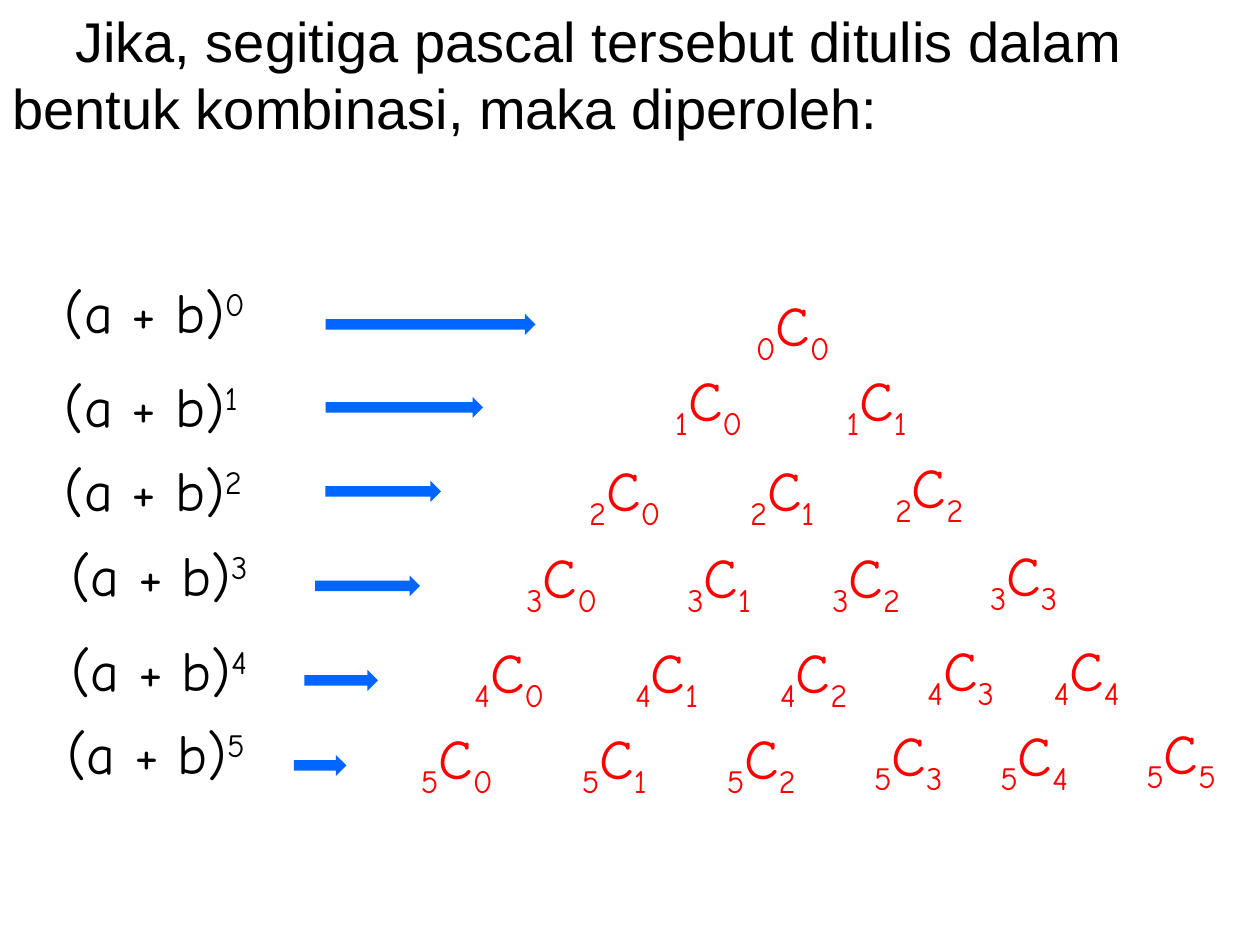
from pptx import Presentation
from pptx.dml.color import RGBColor
from pptx.enum.shapes import MSO_SHAPE
from pptx.enum.text import MSO_AUTO_SIZE, PP_ALIGN
from pptx.util import Inches, Pt

BLACK = RGBColor(0x00, 0x00, 0x00)
RED = RGBColor(0xFF, 0x00, 0x00)
BLUE = RGBColor(0x00, 0x66, 0xFF)

COLS, ROWS = 120, 90
SUB, SUP = -25000, 30000

# Per power: left, top, width and wrapping of its label
POWERS = [
    (5, 25.8, 21, True),
    (5, 34.8, 21, True),
    (5, 42.8, 21, True),
    (5.6, 50.9, 19.2, False),
    (5.6, 59.9, 19.1, False),
    (5.2, 67.8, 21, True),
]

# Per power: left, top and length of its arrow
ARROWS = [
    (31, 29.9, 20),
    (31, 37.8, 15),
    (31, 45.8, 11),
    (30, 54.8, 10),
    (29, 63.8, 7),
    (28, 71.9, 5),
]

# Per power: the left and top of each combination
TERMS = [
    [(69, 27.1)],
    [(62, 34.2), (78, 34.2)],
    [(54, 42.8), (69, 42.8), (83, 42.5)],
    [(48, 51.1), (63, 51.1), (77, 51.1), (92, 50.9)],
    [(43, 60.1), (58, 60.1), (72, 60.1), (86, 59.9), (98, 59.9)],
    [(38, 68.3), (53, 68.3), (67, 68.3), (81, 68), (93, 68), (107, 67.8)],
]


class Board:
    """Places elements on a grid of COLS by ROWS over the slide."""

    def __init__(self, deck):
        self.slide = deck.slides.add_slide(deck.slide_layouts[6])
        self.col = deck.slide_width / COLS
        self.row = deck.slide_height / ROWS
        self.size = Pt(32)

    def frame(self, x, y, wide, high):
        return (round(x * self.col), round(y * self.row),
                round(wide * self.col), round(high * self.row))

    def text(self, box, parts, color=BLACK, font="Comic Neue",
             align=PP_ALIGN.LEFT, wrap=True):
        """Write parts, pairs of wording and baseline shift, on one line."""
        frame = self.slide.shapes.add_textbox(*self.frame(*box)).text_frame
        frame.word_wrap = wrap
        frame.auto_size = MSO_AUTO_SIZE.SHAPE_TO_FIT_TEXT
        line = frame.paragraphs[0]
        line.alignment = align
        for words, shift in parts:
            run = line.add_run()
            run.text = words
            run.font.name = font
            run.font.size = self.size
            run.font.color.rgb = color
            if shift:
                run.font._element.set("baseline", str(shift))

    def title(self, words):
        self.text((0, 0, COLS, 20.4), [(words, 0)], font="Arial")

    def power(self, n, x, y, wide, wrap):
        self.text((x, y, wide, 7.7), [("(a + b)", 0), (str(n), SUP)],
                  wrap=wrap)

    def term(self, n, k, x, y):
        wide = 11 if n else 13
        self.text((x, y, wide, 8.5),
                  [(str(n), SUB), ("C", 0), (str(k), SUB)],
                  color=RED, align=PP_ALIGN.CENTER)

    def arrow(self, x, y, wide):
        shape = self.slide.shapes.add_shape(
            MSO_SHAPE.RIGHT_ARROW, *self.frame(x, y, wide, 2))
        shape.shadow.inherit = False
        shape.fill.solid()
        shape.fill.fore_color.rgb = BLUE
        shape.line.fill.background()


def main():
    deck = Presentation()
    deck.slide_width, deck.slide_height = Inches(10), Inches(7.5)
    board = Board(deck)
    board.title("\tJika, segitiga pascal tersebut ditulis dalam "
                "bentuk kombinasi, maka diperoleh:")
    for n, (power, arrow, terms) in enumerate(zip(POWERS, ARROWS, TERMS)):
        board.power(n, *power)
        board.arrow(*arrow)
        for k, place in enumerate(terms):
            board.term(n, k, *place)
    deck.save("out.pptx")


if __name__ == "__main__":
    main()
